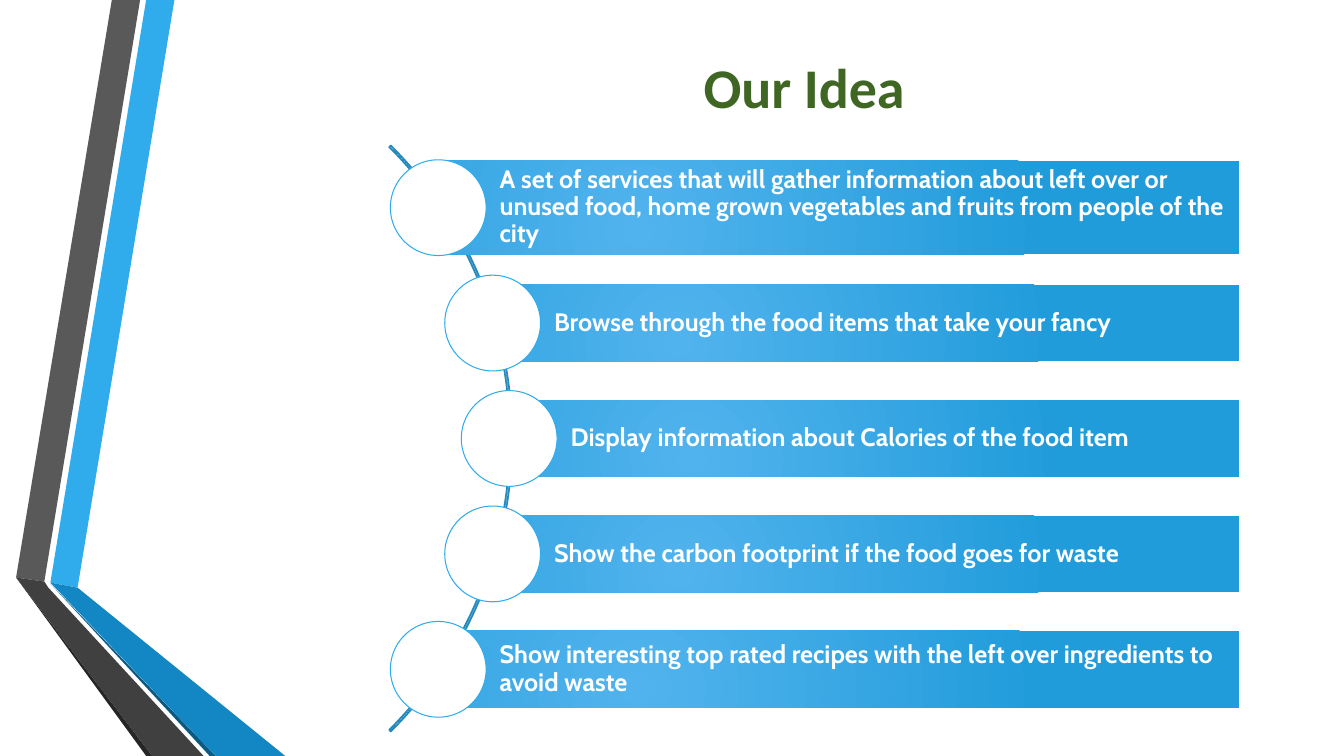
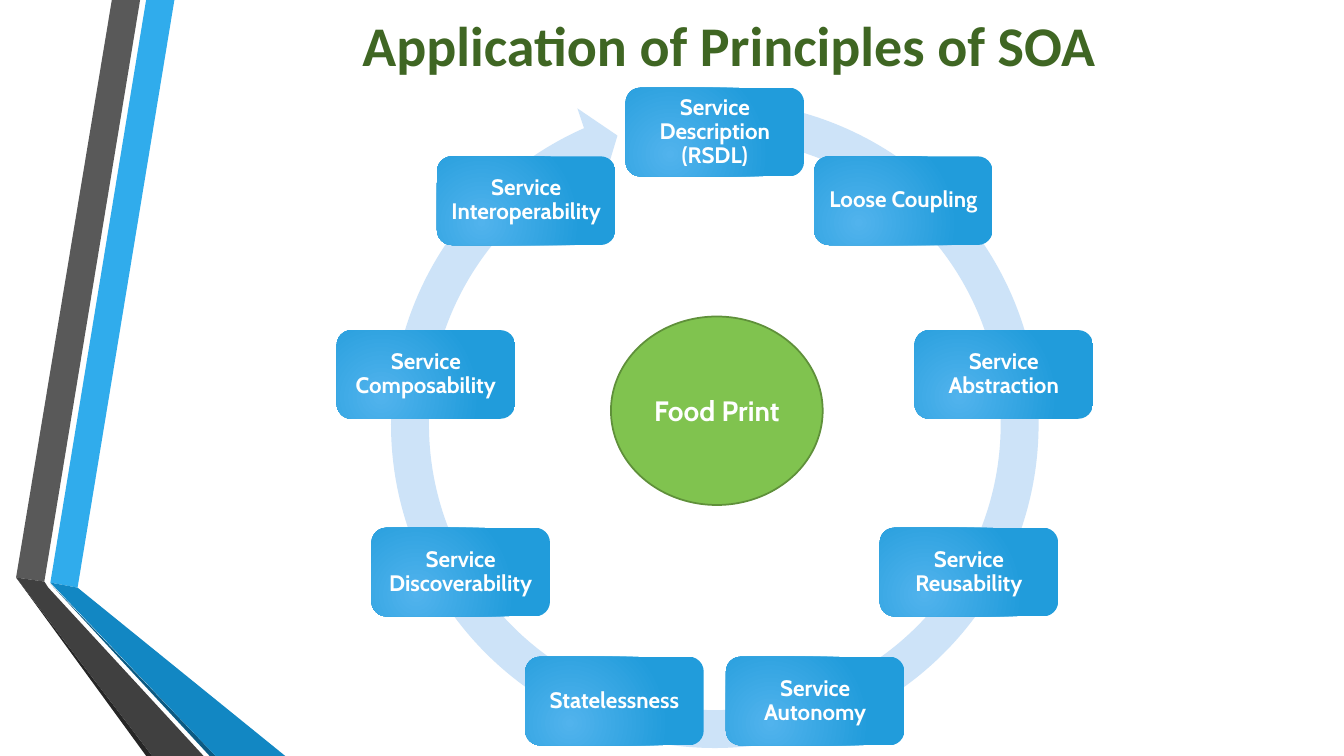
from dataclasses import dataclass
from math import cos, radians, sin, sqrt

from lxml.etree import SubElement
from pptx import Presentation
from pptx.dml.color import RGBColor
from pptx.enum.shapes import MSO_SHAPE
from pptx.enum.text import MSO_ANCHOR, PP_ALIGN
from pptx.oxml.ns import qn
from pptx.presentation import Presentation as Deck
from pptx.shapes.autoshape import Shape
from pptx.slide import Slide
from pptx.util import Inches, Pt


@dataclass(frozen=True)
class Theme:
    """Colours, fonts and type sizes."""
    white: str = "FFFFFF"
    title: str = "3F6623"
    glow: str = "51B3ED"
    blue: str = "219CDB"
    edge: str = "30ACEC"
    arc: str = "268ABD"
    ring: str = "CDE3F8"
    hub: str = "80C34F"
    rim: str = "5F903A"
    head: str = "Calibri"
    body: str = "Cabin"
    head_size: int = 40
    hub_size: int = 20
    idea_size: int = 18
    node_size: int = 16


@dataclass(frozen=True)
class Box:
    """A place on the slide, in inches."""
    left: float
    top: float
    width: float
    height: float


@dataclass(frozen=True)
class Band:
    """One filled outline of the side ribbon."""
    fill: str
    points: tuple[tuple[float, float], ...]


@dataclass(frozen=True)
class Idea:
    """One bar of the list."""
    text: str
    height: float = 0.76


THEME = Theme()

BANDS = (
    Band("30ACEC", ((0.5, 5.78), (0.77, 5.83), (1.73, 0), (1.45, 0))),
    Band("595959", ((1.39, 0), (1.11, 0), (0.16, 5.73), (0.44, 5.77))),
    Band("262626", ((0.16, 5.73), (1.45, 7.5), (1.51, 7.5))),
    Band("0C5A82", ((0.5, 5.79), (2.08, 7.5), (2.14, 7.5))),
    Band("1287C3", ((0.5, 5.78), (2.14, 7.5), (2.83, 7.5), (0.77, 5.83))),
    Band("404040", ((2.02, 7.5), (0.48, 5.83), (0.44, 5.77), (0.16, 5.73),
                    (1.51, 7.5))),
)

IDEAS = (
    Idea("A set of services that will gather information about left over or "
         "unused food, home grown vegetables and fruits from people of the "
         "city", 0.93),
    Idea("Browse through the food items that take your fancy"),
    Idea("Display information about Calories of the food item"),
    Idea("Show the carbon footprint if the food goes for waste"),
    Idea("Show interesting top rated recipes with the left over ingredients "
         "to avoid waste"),
)

# Clockwise from the top
NODES = (
    "Service Description (RSDL)",
    "Loose Coupling",
    "Service Abstraction",
    "Service Reusability",
    "Service Autonomy",
    "Statelessness",
    "Service Discoverability",
    "Service Composability",
    "Service Interoperability",
)


def color(code: str) -> RGBColor:
    return RGBColor.from_string(code)


def centred(x: float, y: float, width: float, height: float) -> Box:
    return Box(x - width / 2, y - height / 2, width, height)


def place(shape: Shape, box: Box) -> None:
    shape.left, shape.top = Inches(box.left), Inches(box.top)
    shape.width, shape.height = Inches(box.width), Inches(box.height)


def paint(shape: Shape, fill: str | None = None, line: str | None = None,
          weight: float = 0.75) -> None:
    """Set a flat fill and an outline; None leaves either out."""
    shape.shadow.inherit = False
    if fill:
        shape.fill.solid()
        shape.fill.fore_color.rgb = color(fill)
    else:
        shape.fill.background()
    if line:
        shape.line.color.rgb = color(line)
        shape.line.width = Pt(weight)
    else:
        shape.line.fill.background()


def shade(shape: Shape) -> None:
    """Give the shape the round blue gradient."""
    paint(shape)
    shape.fill.gradient()
    for stop, code in zip(shape.fill.gradient_stops, (THEME.glow, THEME.blue)):
        stop.color.rgb = color(code)
    grad = shape.element.spPr.find(qn("a:gradFill"))
    grad.remove(grad.find(qn("a:lin")))
    path = SubElement(grad, qn("a:path"), {"path": "circle"})
    SubElement(path, qn("a:fillToRect"),
               {"l": "50000", "t": "100000", "r": "100000", "b": "50000"})


def add(slide: Slide, kind: MSO_SHAPE, box: Box) -> Shape:
    shape = slide.shapes.add_shape(kind, 0, 0, 0, 0)
    place(shape, box)
    return shape


def write(shape: Shape, text: str, size: int, ink: str = THEME.white,
          face: str = THEME.body, align: PP_ALIGN = PP_ALIGN.CENTER,
          space: float | None = None) -> None:
    frame = shape.text_frame
    frame.text = text
    frame.word_wrap = True
    frame.vertical_anchor = MSO_ANCHOR.MIDDLE
    para = frame.paragraphs[0]
    para.alignment = align
    para.line_spacing = space
    font = para.font
    font.name, font.size, font.bold = face, Pt(size), True
    font.color.rgb = color(ink)


def inset(shape: Shape, left: float, rest: float) -> None:
    frame = shape.text_frame
    frame.margin_left = Inches(left)
    frame.margin_top = frame.margin_right = frame.margin_bottom = Inches(rest)


def start(deck: Deck, title: str, box: Box) -> Slide:
    """Add a slide with its title."""
    slide = deck.slides.add_slide(deck.slide_layouts[5])
    place(slide.shapes.title, box)
    write(slide.shapes.title, title, THEME.head_size, THEME.title, THEME.head)
    return slide


def add_bands(deck: Deck, slide: Slide) -> None:
    """Draw the side ribbon and move it to the master."""
    tree = deck.slide_master.shapes.element
    for band in BANDS:
        first, *rest = [(Inches(x), Inches(y)) for x, y in band.points]
        pen = slide.shapes.build_freeform(*first)
        pen.add_line_segments(rest)
        shape = pen.convert_to_shape()
        paint(shape, band.fill)
        tree.append(shape.element)


def add_ideas(slide: Slide) -> None:
    """Bars whose dots follow an arc."""
    mid_x, mid_y, reach, step = 0.97, 4.35, 4.08, 1.145
    right, dot = 12.29, 0.95

    arc = add(slide, MSO_SHAPE.BLOCK_ARC, centred(mid_x, mid_y, 8.22, 8.22))
    for i, value in enumerate((189, 27, 0.0026)):
        arc.adjustments[i] = value
    paint(arc, line=THEME.arc, weight=1.25)

    for i, idea in enumerate(IDEAS):
        drop = (i - len(IDEAS) // 2) * step
        x, y = mid_x + sqrt(reach ** 2 - drop ** 2), mid_y + drop
        bar = add(slide, MSO_SHAPE.RECTANGLE,
                  Box(x, y - idea.height / 2, right - x, idea.height))
        shade(bar)
        write(bar, idea.text, THEME.idea_size, align=PP_ALIGN.LEFT, space=0.9)
        inset(bar, 0.61, 0.05)
        paint(add(slide, MSO_SHAPE.OVAL, centred(x, y, dot, dot)),
              THEME.white, THEME.edge)


def add_cycle(slide: Slide) -> None:
    """Nodes at equal angles on a ring arrow, round a hub."""
    mid_x, mid_y, reach = 7.09, 4.22, 2.91

    ring = add(slide, MSO_SHAPE.CIRCULAR_ARROW, Box(3.67, 0.79, 6.84, 6.84))
    for i, value in enumerate((0.055, 3.307, 147.516, 168.164, 0.058)):
        ring.adjustments[i] = value
    paint(ring, THEME.ring)

    for i, text in enumerate(NODES):
        turn = radians(360 / len(NODES) * i)
        x, y = mid_x + reach * sin(turn), mid_y - reach * cos(turn)
        node = add(slide, MSO_SHAPE.ROUNDED_RECTANGLE,
                   centred(x, y, 1.77, 0.88))
        shade(node)
        write(node, text, THEME.node_size, space=0.9)
        inset(node, 0.07, 0.07)

    hub = add(slide, MSO_SHAPE.OVAL, Box(6.06, 3.14, 2.1, 1.87))
    paint(hub, THEME.hub, THEME.rim, 1.25)
    write(hub, "Food Print", THEME.hub_size)


def main() -> None:
    deck = Presentation()
    deck.slide_width, deck.slide_height = Inches(13.33), Inches(7.5)

    # Idea list
    slide = start(deck, "Our Idea", Box(3.18, 0, 9.59, 1.71))
    add_bands(deck, slide)
    add_ideas(slide)

    # Principles cycle
    slide = start(deck, "Application of Principles of SOA",
                  Box(1.75, 0, 10.96, 0.88))
    add_cycle(slide)

    deck.save("out.pptx")


if __name__ == "__main__":
    main()
